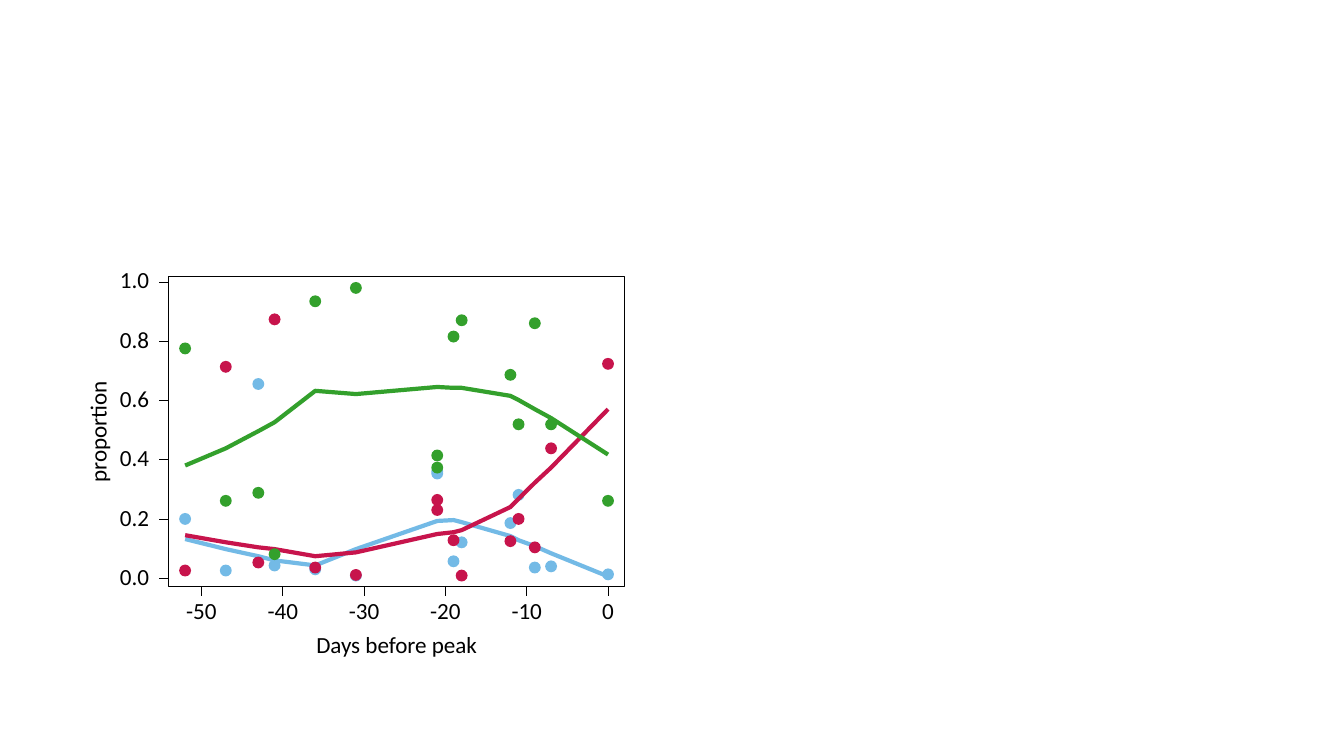
from lxml.etree import SubElement
from pptx import Presentation
from pptx.dml.color import RGBColor
from pptx.enum.shapes import MSO_CONNECTOR, MSO_SHAPE
from pptx.enum.text import MSO_ANCHOR, PP_ALIGN
from pptx.oxml.ns import qn
from pptx.util import Cm, Pt

BLACK = "000000"
DAYS = [-52, -47, -43, -41, -36, -31, -21, -21, -19, -18, -12, -11, -9, -7, 0]
# Colour, observed percentages and smoothed percentages, in the order of DAYS
SERIES = [
    ("73BAE6",
     [20.1, 2.7, 65.6, 4.4, 3.1, 1, 35.4, 36.1, 5.8, 12.2, 18.7, 28.2, 3.7, 4.1, 1.4],
     [13.3, 9.9, 7.5, 6.1, 4.4, 9.9, 19.4, 19.4, 19.7, 19, 14.3, 12.9, 10.9, 8.5, 0.7]),
    ("C7144C",
     [2.7, 71.4, 5.4, 87.4, 3.7, 1.2, 23.1, 26.5, 12.9, 1, 12.6, 20.1, 10.5, 43.9, 72.4],
     [14.6, 12.2, 10.5, 9.9, 7.5, 8.8, 15, 15, 15.6, 16.3, 24.1, 26.9, 32.3, 37.4, 57.1]),
    ("33A02C",
     [77.6, 26.2, 28.9, 8.2, 93.5, 98, 41.5, 37.4, 81.6, 87.1, 68.7, 52, 86.1, 52, 26.2],
     [38.1, 43.9, 49.7, 52.7, 63.3, 62.2, 64.6, 64.6, 64.3, 64.3, 61.6, 60.2, 57.1, 54.1, 41.8]),
]
DAY_MIN, DAY_MAX = -54.08, 2.08
PCT_MIN, PCT_MAX = -2.7, 101.7
DOT = 0.3
TICK = 0.23


def rgb(color):
    return RGBColor.from_string(color)


def add_label(shapes, text, cx, cy, w, h=0.4, rotation=0):
    """Centre a one-line label on the point (cx, cy)."""
    tb = shapes.add_textbox(Cm(cx - w / 2), Cm(cy - h / 2), Cm(w), Cm(h))
    tb.rotation = rotation
    tf = tb.text_frame
    tf.margin_left = tf.margin_right = tf.margin_top = tf.margin_bottom = 0
    tf.word_wrap = False
    tf.vertical_anchor = MSO_ANCHOR.MIDDLE
    tf.text = text
    p = tf.paragraphs[0]
    p.alignment = PP_ALIGN.CENTER
    p.line_spacing = Pt(16.5)
    font = p.runs[0].font
    font.name, font.size = "Calibri", Pt(16.5)
    font.color.rgb = rgb(BLACK)


def add_tick(shapes, x1, y1, x2, y2):
    line = shapes.add_connector(MSO_CONNECTOR.STRAIGHT, Cm(x1), Cm(y1), Cm(x2), Cm(y2))
    line.line.color.rgb = rgb(BLACK)
    line.line.width = Pt(0.75)
    SubElement(line._element.spPr, qn("a:effectLst"))


def add_outline(shape, color, width):
    shape.shadow.inherit = False
    shape.fill.background()
    shape.line.color.rgb = rgb(color)
    shape.line.width = Pt(width)


def add_dots(shapes, points, color):
    for x, y in points:
        dot = shapes.add_shape(MSO_SHAPE.OVAL, Cm(x - DOT / 2), Cm(y - DOT / 2), Cm(DOT), Cm(DOT))
        dot.shadow.inherit = False
        dot.fill.solid()
        dot.fill.fore_color.rgb = rgb(color)
        dot.line.fill.background()


def add_trend(shapes, points, color):
    start, *rest = [(Cm(x), Cm(y)) for x, y in points]
    builder = shapes.build_freeform(*start)
    builder.add_line_segments(rest, close=False)
    add_outline(builder.convert_to_shape(), color, 3)


def add_axes(shapes, left, top, width, height, x_at, y_at):
    bottom = top + height
    for day in range(-50, 1, 10):
        x = x_at(day)
        add_tick(shapes, x, bottom, x, bottom + TICK)
        add_label(shapes, str(day), x, bottom + 0.65, 0.8)
    for pct in range(0, 101, 20):
        y = y_at(pct)
        add_tick(shapes, left, y, left - TICK, y)
        add_label(shapes, f"{pct / 100:.1f}", left - 0.85, y, 0.8)
    frame = shapes.add_shape(MSO_SHAPE.RECTANGLE, Cm(left), Cm(top), Cm(width), Cm(height))
    add_outline(frame, BLACK, 0.75)
    add_label(shapes, "Days before peak", left + width / 2, bottom + 1.51, 4.2, 0.5)
    add_label(shapes, "proportion", left - 1.73, top + height / 2, 2.7, 0.5, rotation=270)


def add_proportion_plot(s, left, top, width, height):
    """Draw the scatter plot with its trend lines; the box is the plot frame."""
    shapes = s.shapes.add_group_shape().shapes

    def x_at(day):
        return left + width * (day - DAY_MIN) / (DAY_MAX - DAY_MIN)

    def y_at(pct):
        return top + height * (PCT_MAX - pct) / (PCT_MAX - PCT_MIN)

    def points(values):
        return [(x_at(day), y_at(pct)) for day, pct in zip(DAYS, values)]

    for i, (color, observed, smoothed) in enumerate(SERIES):
        add_dots(shapes, points(observed), color)
        if i == 0:
            add_axes(shapes, left, top, width, height, x_at, y_at)
        add_trend(shapes, points(smoothed), color)


def main():
    prs = Presentation()
    prs.slide_width, prs.slide_height = Cm(33.87), Cm(19.05)
    s = prs.slides.add_slide(prs.slide_layouts[6])
    add_proportion_plot(s, 4.24, 6.98, 11.51, 7.8)
    prs.save("out.pptx")


if __name__ == "__main__":
    main()
